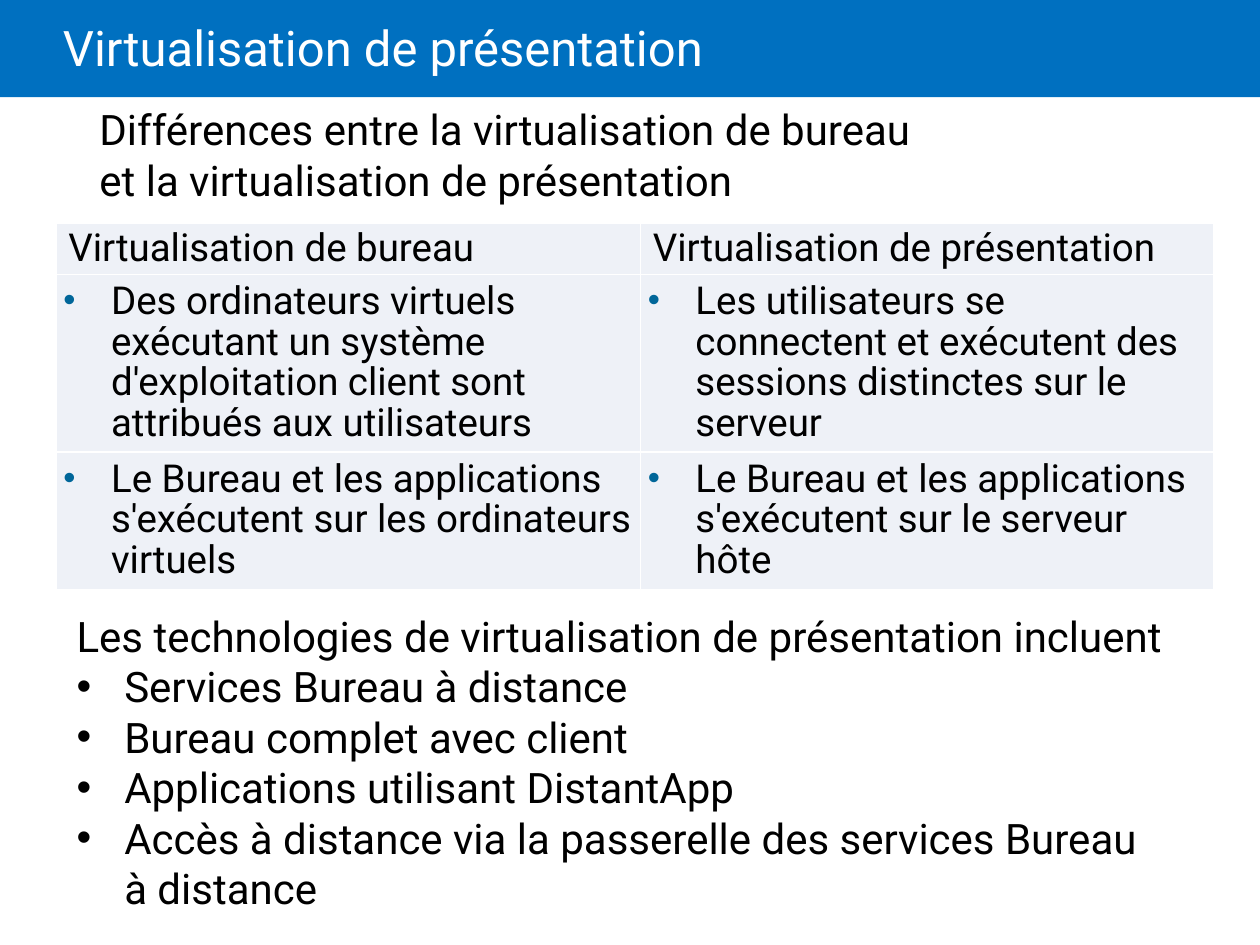
import pptx
import pptx.util
import pptx.dml.color
import pptx.enum.shapes
import pptx.enum.text
import pptx.oxml
from pptx.oxml.ns import nsdecls

Cm = pptx.util.Cm
MIDDLE = pptx.enum.text.MSO_ANCHOR.MIDDLE
SHAPE = pptx.enum.shapes.MSO_SHAPE
NBSP = chr(160)  # keeps words together at line ends


def rgb(value):
    return pptx.dml.color.RGBColor.from_string(value)


def add_text(tf, text, size=24, color="000000", spacing=None,
             bullet=False, bullet_color=None, bullet_size=None, first=True):
    p = tf.paragraphs[0] if first else tf.add_paragraph()
    p.alignment = pptx.enum.text.PP_ALIGN.LEFT
    if spacing:
        p.line_spacing = spacing
    if bullet:
        pPr = p._p.get_or_add_pPr()
        pPr.set("marL", str(Cm(0.96)))
        pPr.set("indent", str(-Cm(0.96)))
        ns = nsdecls("a")
        parts = []
        if bullet_color:
            parts.append(f'<a:buClr {ns}><a:srgbClr val="{bullet_color}"/></a:buClr>')
        if bullet_size:
            parts.append(f'<a:buSzPct {ns} val="{bullet_size * 1000}"/>')
        parts.append(f'<a:buFont {ns} typeface="Arial"/>')
        parts.append(f'<a:buChar {ns} char="•"/>')
        for part in parts:
            pPr.append(pptx.oxml.parse_xml(part))
    r = p.add_run()
    r.text = text
    r.font.name = "Roboto"
    r.font.size = pptx.util.Pt(size)
    r.font.color.rgb = rgb(color)


prs = pptx.Presentation()
prs.slide_width, prs.slide_height = Cm(25.4), Cm(19.05)
s = prs.slides.add_slide(prs.slide_layouts[6])

# Title band
sp = s.shapes.add_shape(SHAPE.RECTANGLE, 0, 0, prs.slide_width, Cm(1.96))
sp.shadow.inherit = False
sp.fill.solid()
sp.fill.fore_color.rgb = rgb("0070C0")
sp.line.fill.background()

# Title
sp = s.shapes.add_textbox(Cm(1.27), 0, Cm(21.59), Cm(2.06))
tf = sp.text_frame
tf.word_wrap = True
tf.vertical_anchor = MIDDLE
tf.margin_left = 0
add_text(tf, "Virtualisation de présentation", size=28, color="FFFFFF", spacing=0.85)

# Comparison table
rows = [
    ["Virtualisation de bureau", "Virtualisation de présentation"],
    ["Des ordinateurs virtuels exécutant un système d'exploitation client "
     "sont attribués aux utilisateurs",
     "Les utilisateurs se connectent et exécutent des sessions distinctes sur le serveur"],
    ["Le Bureau et les applications s'exécutent sur les ordinateurs virtuels",
     "Le Bureau et les applications s'exécutent sur le serveur hôte"],
]
widths = [11.78, 11.56]
heights = [0.99, 3.58, 2.77]
table = s.shapes.add_table(len(rows), len(widths), Cm(1.13), Cm(4.5),
                           Cm(sum(widths)), Cm(sum(heights))).table
table.first_row = table.horz_banding = False
for column, width in zip(table.columns, widths):
    column.width = Cm(width)
for i, (texts, height) in enumerate(zip(rows, heights)):
    table.rows[i].height = Cm(height)
    for j, text in enumerate(texts):
        cell = table.cell(i, j)
        cell.vertical_anchor = MIDDLE
        left, right, edge = (0.15, 0.17, 0.1) if i else (0.25, 0.25, 0.05)
        cell.margin_left, cell.margin_right = Cm(left), Cm(right)
        cell.margin_top = cell.margin_bottom = Cm(edge)
        tcPr = cell._tc.get_or_add_tcPr()
        for tag in ("lnL", "lnR", "lnT", "lnB"):
            tcPr.append(pptx.oxml.parse_xml(
                f'<a:{tag} {nsdecls("a")} w="12700"><a:solidFill>'
                f'<a:srgbClr val="FFFFFF"/></a:solidFill></a:{tag}>'))
        cell.fill.solid()
        cell.fill.fore_color.rgb = rgb("EEF1F7")
        if i:
            add_text(cell.text_frame, text, size=22, spacing=0.9,
                     bullet=True, bullet_color="006699", bullet_size=90)
        else:
            add_text(cell.text_frame, text, size=22)

# Text panels above and below the table
panels = [
    ((1.73, 2.03, 21.72, 2.16),
     ["Différences entre la virtualisation de bureau "
      f"et{NBSP}la{NBSP}virtualisation de présentation"]),
    ((1.22, 12.09, 23.11, 6.53),
     ["Les technologies de virtualisation de présentation incluent",
      "Services Bureau à distance",
      "Bureau complet avec client",
      "Applications utilisant DistantApp",
      f"Accès à distance via la passerelle des services Bureau à{NBSP}distance"]),
]
for box, lines in panels:
    sp = s.shapes.add_shape(SHAPE.ROUNDED_RECTANGLE, *[Cm(v) for v in box])
    sp.adjustments[0] = 0.04
    sp.shadow.inherit = False
    sp.fill.background()
    sp.line.fill.background()
    tf = sp.text_frame
    tf.word_wrap = True
    tf.vertical_anchor = MIDDLE
    for k, line in enumerate(lines):
        add_text(tf, line, bullet=k > 0, first=k == 0)

prs.save("out.pptx")
